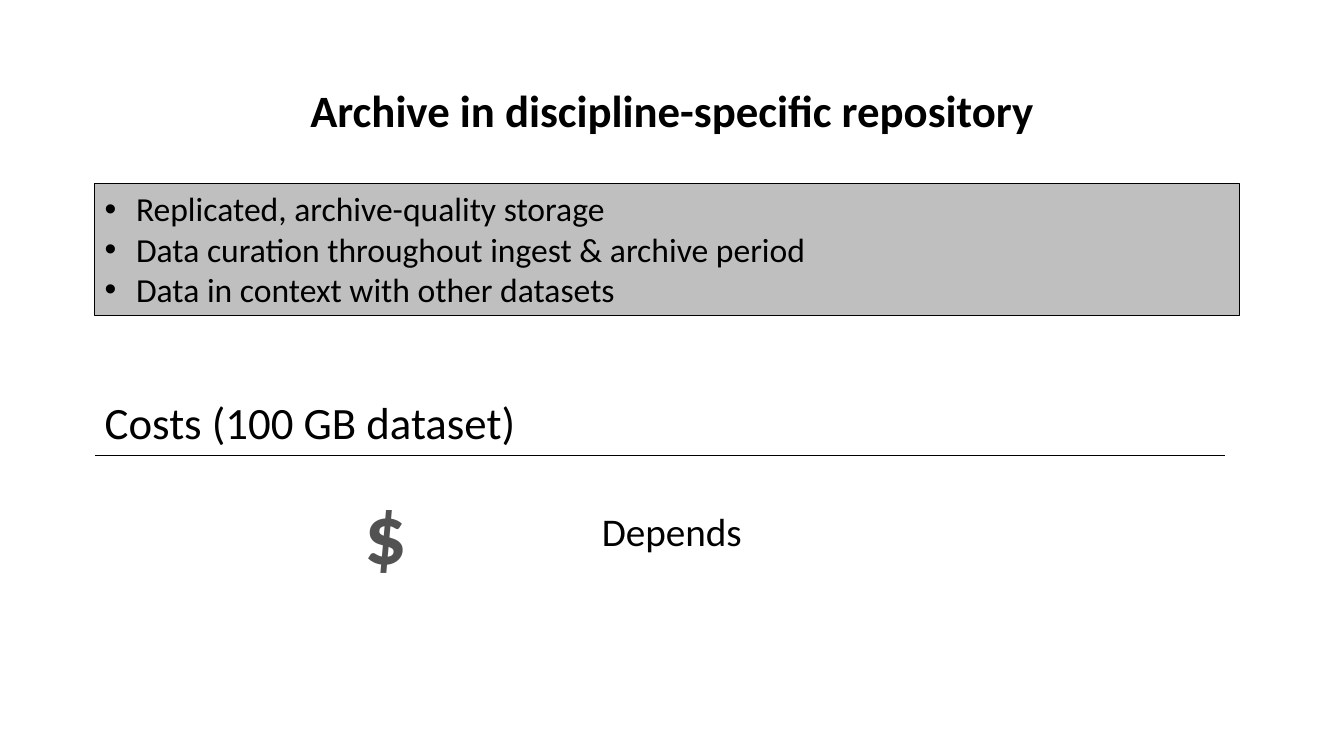
"""Build a slide on archiving data in a discipline-specific repository."""
from lxml import etree
from pptx import Presentation
from pptx.dml.color import RGBColor
from pptx.enum.shapes import MSO_CONNECTOR, MSO_SHAPE
from pptx.enum.text import MSO_ANCHOR, PP_ALIGN
from pptx.oxml.ns import qn
from pptx.util import Cm, Pt

BLACK = RGBColor(0x00, 0x00, 0x00)
PANEL_GRAY = RGBColor(0xBF, 0xBF, 0xBF)
DOLLAR_GRAY = RGBColor(0x52, 0x52, 0x52)
LEFT, CENTER = PP_ALIGN.LEFT, PP_ALIGN.CENTER
TOP, MIDDLE = MSO_ANCHOR.TOP, MSO_ANCHOR.MIDDLE
RECTANGLE = MSO_SHAPE.RECTANGLE
STRAIGHT = MSO_CONNECTOR.STRAIGHT
MARGIN = Cm(2.39)
RULE_TOP = Cm(11.48)
BULLET_INDENT = Cm(0.79)


def write(shape, text, size, align=LEFT, color=BLACK, bold=False, anchor=TOP):
    frame = shape.text_frame
    frame.word_wrap = True
    frame.vertical_anchor = anchor
    frame.text = text
    for para in frame.paragraphs:
        para.alignment = align
        for span in para.runs:
            span.font.name = "Calibri"
            span.font.size = Pt(size)
            span.font.bold = bold
            span.font.color.rgb = color


deck = Presentation()
deck.slide_width, deck.slide_height = Cm(33.87), Cm(19.05)
page = deck.slides.add_slide(deck.slide_layouts[6])

title = page.shapes.add_textbox(Cm(2.34), Cm(1.02), Cm(29.21), Cm(3.68))
write(title, "Archive in discipline-specific repository", 32, CENTER, bold=True, anchor=MIDDLE)
title.text_frame.paragraphs[0].line_spacing = 0.9

benefits = page.shapes.add_shape(RECTANGLE, MARGIN, Cm(4.62), Cm(28.85), Cm(3.33))
benefits.shadow.inherit = False
benefits.fill.solid()
benefits.fill.fore_color.rgb = PANEL_GRAY
benefits.line.color.rgb = BLACK
benefits.line.width = Pt(0.75)
write(benefits, "\n".join([
    "Replicated, archive-quality storage",
    "Data curation throughout ingest & archive period",
    "Data in context with other datasets",
]), 24)
for para in benefits.text_frame.paragraphs:
    properties = para._p.get_or_add_pPr()
    properties.set("marL", str(BULLET_INDENT))
    properties.set("indent", str(-BULLET_INDENT))
    etree.SubElement(properties, qn("a:buFont")).set("typeface", "Arial")
    etree.SubElement(properties, qn("a:buChar")).set("char", "•")

cost = page.shapes.add_textbox(Cm(3), Cm(12.67), Cm(27.86), Cm(2.64))
write(cost, "Depends", 28, CENTER)

heading = page.shapes.add_textbox(MARGIN, Cm(9.83), Cm(25.93), Cm(1.63))
write(heading, "Costs (100 GB dataset)", 32)

rule = page.shapes.add_connector(STRAIGHT, MARGIN, RULE_TOP, Cm(30.86), RULE_TOP)
rule.line.color.rgb = BLACK
rule.line.width = Pt(1)
etree.SubElement(rule._element.spPr, qn("a:effectLst"))

dollar = page.shapes.add_textbox(Cm(8.64), Cm(11.99), Cm(2.18), Cm(2.82))
write(dollar, "$", 60, CENTER, DOLLAR_GRAY, bold=True)

deck.save("out.pptx")
